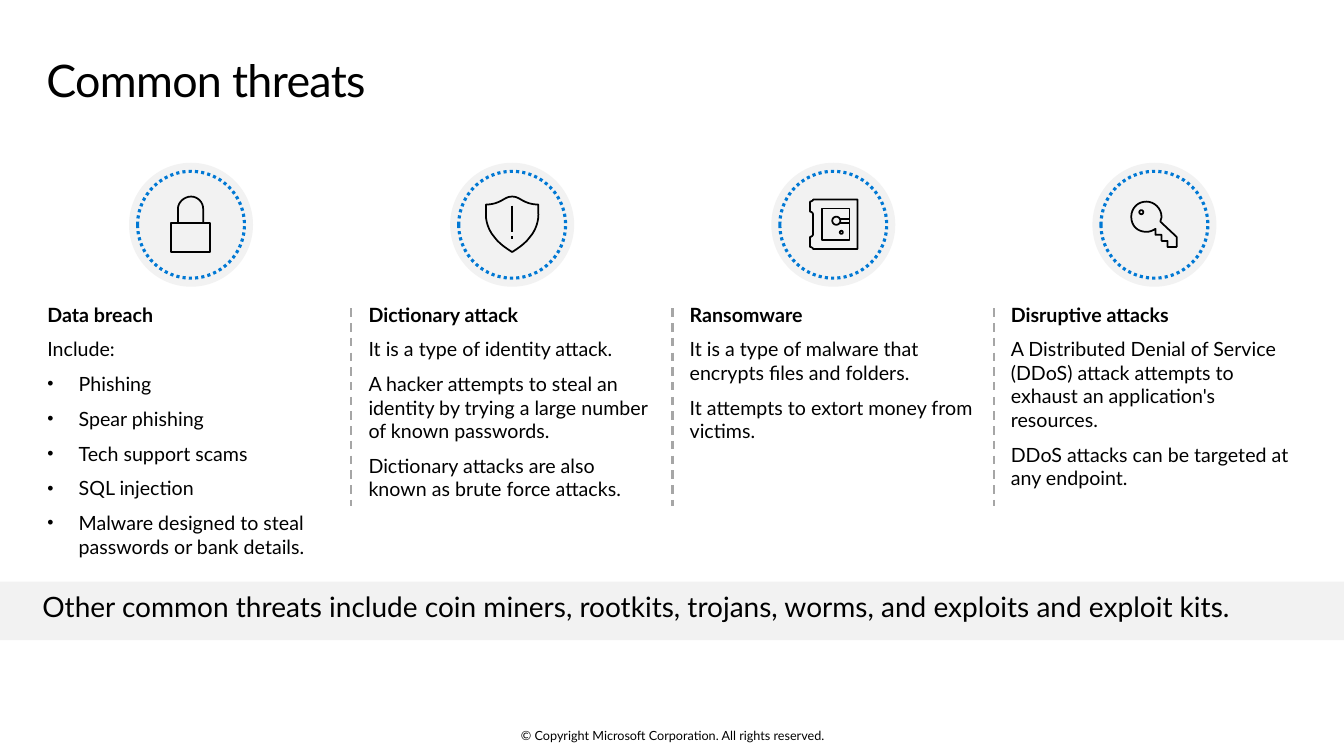
from math import cos, pi, sin

from lxml.etree import SubElement
from pptx import Presentation
from pptx.dml.color import RGBColor
from pptx.enum.dml import MSO_LINE
from pptx.enum.shapes import MSO_CONNECTOR, MSO_SHAPE
from pptx.enum.text import MSO_ANCHOR, MSO_AUTO_SIZE, PP_ALIGN
from pptx.oxml.ns import qn
from pptx.util import Inches, Pt

COLORS = {"text": "000000", "panel": "F2F2F2", "ring": "0078D4", "divider": "A6A6A6"}
COLOR = {name: RGBColor.from_string(value) for name, value in COLORS.items()}
FONT = "Lato"

# Column grid, in inches
COLUMN_LEFT, COLUMN_PITCH, COLUMN_WIDTH = 0.47, 3.185, 2.85
COLUMN_TOP, COLUMN_HEIGHT = 3, 3.05
ICON_MIDDLE = 2.22


def add_text(shape, lines, size, insets=(0, 0, 0, 0), anchor=MSO_ANCHOR.TOP, align=PP_ALIGN.LEFT,
             line_spacing=None, before=0, after=0, bold_first=False, tracking=0):
    """Fill a shape with lines; a line that starts with a bullet gets a hanging indent."""
    frame = shape.text_frame
    frame.word_wrap = True
    frame.auto_size = MSO_AUTO_SIZE.NONE
    frame.vertical_anchor = anchor
    frame.margin_left, frame.margin_top, frame.margin_right, frame.margin_bottom = map(Inches, insets)
    for index, line in enumerate(lines):
        paragraph = frame.add_paragraph() if index else frame.paragraphs[0]
        paragraph.alignment = align
        paragraph.line_spacing = line_spacing
        paragraph.space_before = Pt(before if index else 0)
        paragraph.space_after = Pt(after)
        if line.startswith("•"):
            properties = paragraph._p.get_or_add_pPr()
            properties.set("marL", str(Inches(0.31)))
            properties.set("indent", str(-Inches(0.31)))
            SubElement(properties, qn("a:buSzPct"), val="90000")
            SubElement(properties, qn("a:buFont"), typeface="Arial")
            SubElement(properties, qn("a:buChar"), char="•")
        run = paragraph.add_run()
        run.text = line.removeprefix("•")
        run.font.name = FONT
        run.font.size = Pt(size)
        run.font.bold = bold_first and index == 0
        run.font.color.rgb = COLOR["text"]
        if tracking:
            run._r.get_or_add_rPr().set("spc", str(int(tracking * 100)))


def circle(x, y, radius, steps=24):
    """Return the steps of a closed round outline."""
    return [(x + radius * cos(2 * pi * k / steps), y + radius * sin(2 * pi * k / steps))
            for k in range(steps)]


# Icon outlines in hundredths of an inch from the ring's centre: (closed, steps).
# A step of two numbers is a corner; one of six is a cubic curve.
LOCK = [
    (True, [(-20, -1), (19, -1), (19, 28), (-20, 28)]),
    (False, [(12, -1), (12, -15), (12, -21, 7, -27, 0, -27),
             (-7, -27, -13, -21, -13, -15), (-13, -1)]),
]
SHIELD = [
    (True, [(-17, 14), (-27, 3, -26, -10, -26, -10), (-26, -19),
            (-26, -19, -20, -19, -15, -21), (-9, -23, -6, -27, 0, -27),
            (6, -27, 9, -23, 15, -21), (20, -19, 26, -19, 26, -19), (26, -10),
            (26, -10, 27, 3, 17, 14), (12, 21, 0, 28, 0, 28), (0, 28, -12, 21, -17, 14)]),
    (False, [(0, -18), (0, 8)]),
    (False, [(0, 12), (0, 15)]),
]
SAFE = [
    (True, [(24, -24), (24, 25), (-20, 25), (-20, 24, -22, 23, -23, 23), (-23, 13),
            (-22, 13, -20, 12, -20, 10), (-20, -9), (-20, -11, -22, -12, -23, -12),
            (-23, -22), (-22, -22, -20, -23, -20, -24)]),
    (True, [(-11, -15), (16, -15), (16, 16), (-11, 16)]),
    (True, circle(3, -3, 4)),
    (True, circle(8, 8.5, 1.5)),
    (False, [(6, -5), (16, -5)]),
    (False, [(6, -1), (16, -1)]),
]
KEY = [
    (True, [(1, 5), (-2, 7, -5, 8, -8, 8), (-17, 8, -23, 2, -23, -7),
            (-23, -15, -17, -22, -8, -22), (0, -22, 7, -15, 7, -7), (7, -5, 6, -4, 6, -2),
            (22, 13), (22, 23), (13, 23), (13, 17), (7, 17), (7, 11), (1, 11)]),
    (True, circle(-13, -11.5, 2)),
]

THREATS = [
    (LOCK, ["Data breach", "Include:", "•Phishing", "•Spear phishing", "•Tech support scams",
            "•SQL injection", "•Malware designed to steal passwords or bank details."]),
    (SHIELD, ["Dictionary attack", "It is a type of identity attack.",
              "A hacker attempts to steal an identity by trying a large number of known passwords.",
              "Dictionary attacks are also known as brute force attacks."]),
    (SAFE, ["Ransomware", "It is a type of malware that encrypts files and folders.",
            "It attempts to extort money from victims."]),
    (KEY, ["Disruptive attacks",
           "A Distributed Denial of Service (DDoS) attack attempts to exhaust an application's resources.",
           "DDoS attacks can be targeted at any endpoint."]),
]

presentation = Presentation()
presentation.slide_width, presentation.slide_height = Inches(13.33), Inches(7.5)
slide = presentation.slides.add_slide(presentation.slide_layouts[5])
shapes = slide.shapes

# Title
title = shapes.title
title.left, title.top, title.width, title.height = map(Inches, (0.46, 0.48, 12.4, 0.74))
add_text(title, ["Common threats"], 32, insets=(0, 0.1, 0.16, 0.1), line_spacing=0.9, tracking=-0.5)

# Threat columns
for column, (icon, lines) in enumerate(THREATS):
    left = COLUMN_LEFT + column * COLUMN_PITCH
    center = left + COLUMN_WIDTH / 2

    # Divider before every column but the first
    if column:
        x = Inches(left - 0.17)
        divider = shapes.add_connector(MSO_CONNECTOR.STRAIGHT, x, Inches(3.06), x, Inches(5.02))
        divider.line.color.rgb = COLOR["divider"]
        divider.line.width = Pt(1.5)
        divider.line.dash_style = MSO_LINE.DASH
        SubElement(divider._element.spPr, qn("a:effectLst"))

    # Disc and dotted ring
    for diameter, dotted in ((1.23, False), (1.06, True)):
        disc = shapes.add_shape(MSO_SHAPE.OVAL, Inches(center - diameter / 2),
                                Inches(ICON_MIDDLE - diameter / 2 + 0.01),
                                Inches(diameter), Inches(diameter))
        disc.shadow.inherit = False
        if dotted:
            disc.fill.background()
            disc.line.color.rgb = COLOR["ring"]
            disc.line.width = Pt(2.25)
            disc.line.dash_style = MSO_LINE.ROUND_DOT
        else:
            disc.fill.solid()
            disc.fill.fore_color.rgb = COLOR["panel"]
            disc.line.fill.background()

    # Icon
    builder = None
    for closed, steps in icon:
        points = []
        for step in steps:
            if len(step) == 2:
                points.append(step)
                continue
            x0, y0 = points[-1]
            x1, y1, x2, y2, x3, y3 = step
            for t in (k / 8 for k in range(1, 9)):
                a, b, c, d = (1 - t) ** 3, 3 * t * (1 - t) ** 2, 3 * t * t * (1 - t), t ** 3
                points.append((a * x0 + b * x1 + c * x2 + d * x3, a * y0 + b * y1 + c * y2 + d * y3))
        points = [(Inches(center + x / 100), Inches(ICON_MIDDLE + y / 100)) for x, y in points]
        if builder is None:
            builder = shapes.build_freeform(*points[0], scale=1.0)
        else:
            builder.move_to(*points[0])
        builder.add_line_segments(points[1:], close=closed)
    outline = builder.convert_to_shape()
    outline.shadow.inherit = False
    outline.fill.background()
    outline.line.color.rgb = COLOR["text"]
    outline.line.width = Pt(1.25)

    # Description
    box = shapes.add_textbox(*map(Inches, (left, COLUMN_TOP, COLUMN_WIDTH, COLUMN_HEIGHT)))
    add_text(box, lines, 14, before=2, after=6, bold_first=True)

# Summary band
band = shapes.add_shape(MSO_SHAPE.RECTANGLE, 0, Inches(5.77), presentation.slide_width, Inches(0.58))
band.shadow.inherit = False
band.fill.solid()
band.fill.fore_color.rgb = COLOR["panel"]
band.line.fill.background()
summary = shapes.add_textbox(*map(Inches, (0.22, 5.73, 12.65, 0.63)))
add_text(summary, ["Other common threats include coin miners, rootkits, trojans, worms, "
                   "and exploits and exploit kits."],
         20, insets=(0.2, 0.16, 0.2, 0.16), line_spacing=0.9, after=6)

# Copyright line
copyright_line = shapes.add_textbox(*map(Inches, (4.42, 7.22, 4.5, 0.15)))
add_text(copyright_line, ["© Copyright Microsoft Corporation. All rights reserved."], 9,
         anchor=MSO_ANCHOR.MIDDLE, align=PP_ALIGN.CENTER)

presentation.save("out.pptx")
